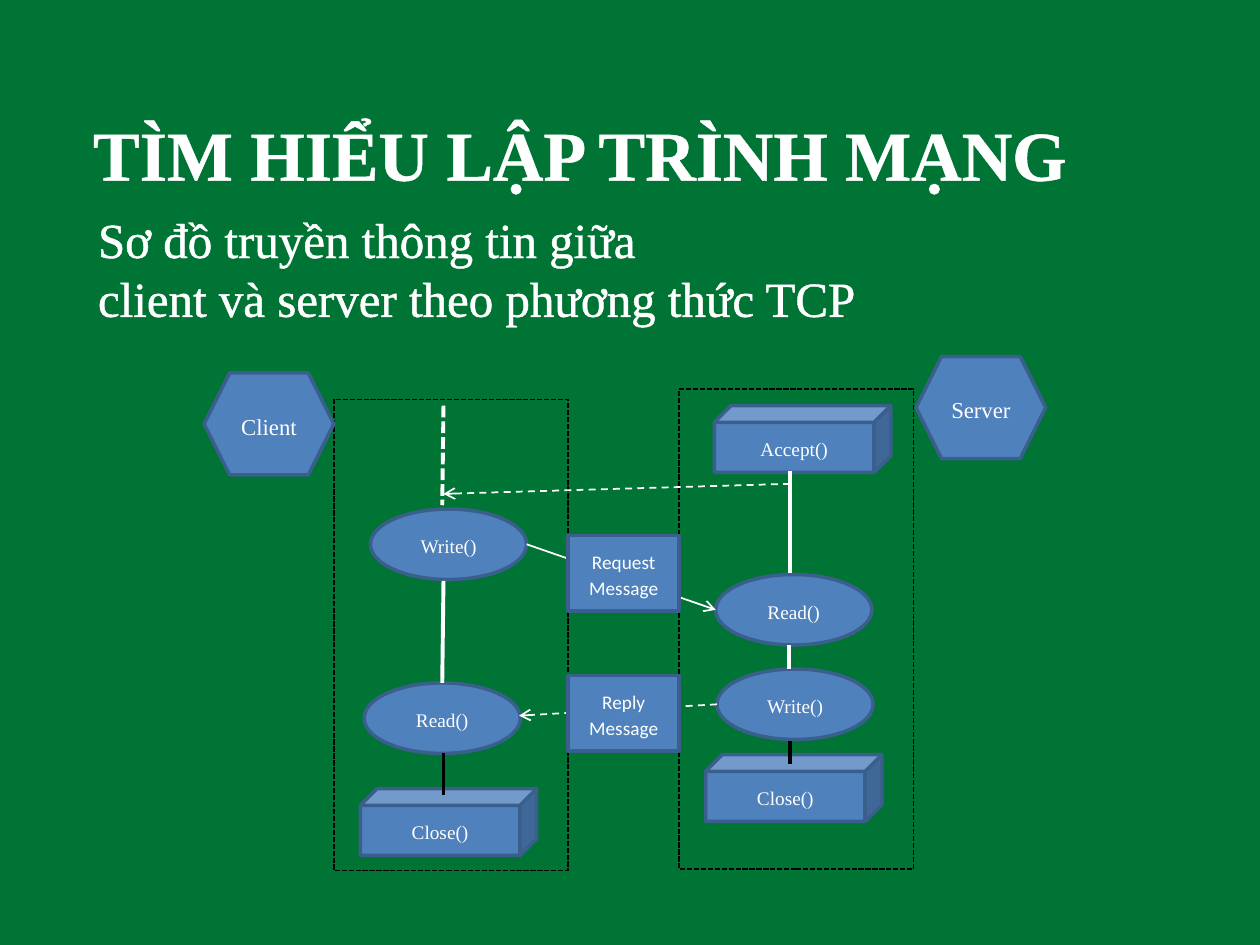
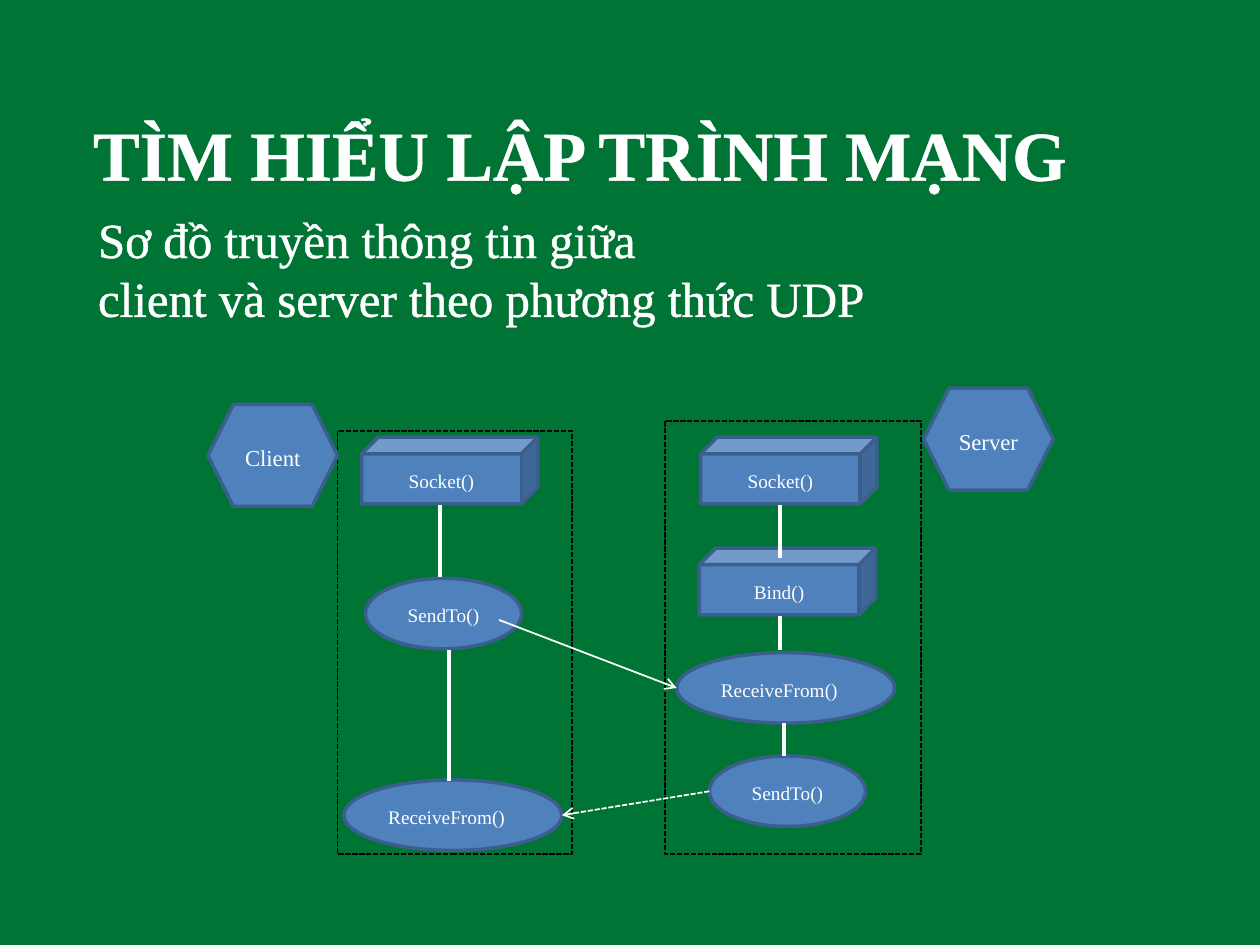
from pptx import Presentation
from pptx.dml.color import RGBColor
from pptx.enum.dml import MSO_LINE
from pptx.enum.shapes import MSO_CONNECTOR, MSO_SHAPE
from pptx.enum.text import MSO_ANCHOR, MSO_AUTO_SIZE, PP_ALIGN
from pptx.oxml import parse_xml
from pptx.oxml.ns import nsdecls
from pptx.util import Inches, Pt

GREEN = RGBColor(0x00, 0x74, 0x34)
BLUE = RGBColor(0x4F, 0x81, 0xBD)
NAVY = RGBColor(0x3A, 0x5F, 0x8C)
WHITE = RGBColor(0xFF, 0xFF, 0xFF)
BLACK = RGBColor(0x00, 0x00, 0x00)

SLIDE_W, SLIDE_H = Inches(10), Inches(7.5)
COLS, ROWS = 100, 75
SERIF, SANS = "Times New Roman", "Calibri"

TITLE_FONT = {"name": SERIF, "size": Pt(40), "bold": True}
SUBTITLE_FONT = {"name": SERIF, "size": Pt(28)}
NODE_FONT = {"name": SERIF, "size": Pt(11)}
SIDE_FONT = {"name": SERIF, "size": Pt(13)}
MESSAGE_FONT = {"name": SANS, "size": Pt(11)}
NODE_PARAGRAPH = {"alignment": PP_ALIGN.CENTER, "line_spacing": 1.15, "space_after": Pt(10)}

KINDS = {
    "setup": (MSO_SHAPE.CUBE, 14, 5.3, NODE_FONT, PP_ALIGN.CENTER),
    "call": (MSO_SHAPE.OVAL, 12.4, 5.6, NODE_FONT, PP_ALIGN.CENTER),
    "wide call": (MSO_SHAPE.OVAL, 17.3, 5.6, NODE_FONT, PP_ALIGN.LEFT),
    "side": (MSO_SHAPE.HEXAGON, 10.3, 8.1, SIDE_FONT, PP_ALIGN.CENTER),
    "message": (MSO_SHAPE.RECTANGLE, 8.8, 6, MESSAGE_FONT, PP_ALIGN.CENTER),
}

LINKS = {
    "flow": (WHITE, 2.25, None, False),
    "earlier": (WHITE, 2.25, MSO_LINE.SQUARE_DOT, False),
    "end": (BLACK, 2.25, None, False),
    "request": (WHITE, 1, None, True),
    "reply": (WHITE, 1, MSO_LINE.DASH, True),
    "short reply": (WHITE, 1, MSO_LINE.SQUARE_DOT, True),
}

TCP = {
    "name": "TCP",
    "client": (26.5, 31.7, 18.6, 37.4),
    "server": (53.9, 30.9, 18.6, 38.1),
    "nodes": [
        ("setup", "Accept()", 56.7, 32.2),
        ("call", "Write()", 29.4, 40.4),
        ("call", "Read()", 28.9, 54.2),
        ("setup", "Close()", 28.6, 62.6),
        ("call", "Read()", 56.8, 45.6),
        ("call", "Write()", 56.9, 53.1),
        ("setup", "Close()", 56, 59.9),
    ],
    "links": [
        ("earlier", 35.2, 32.2, 35.1, 40.1),
        ("flow", 35.2, 46.1, 35.1, 54.2),
        ("flow", 62.7, 37.4, 62.7, 45.5),
        ("flow", 62.6, 51.2, 62.6, 53.1),
        ("request", 41.8, 43.2, 56.8, 48.4),
        ("reply", 62.7, 38.4, 35.2, 39.2),
        ("reply", 56.9, 55.9, 41.2, 56.8),
        ("end", 35.2, 59.8, 35.2, 63.1),
        ("end", 62.7, 58.8, 62.7, 60.6),
    ],
    "messages": [
        ("message", "Request Message", 45.1, 42.5),
        ("message", "Reply Message", 45.1, 53.6),
    ],
}

UDP = {
    "name": "UDP",
    "client": (26.8, 34.2, 18.6, 33.6),
    "server": (52.8, 33.4, 20.3, 34.4),
    "nodes": [
        ("setup", "Socket()", 28.7, 34.7),
        ("call", "SendTo()", 29, 45.9),
        ("wide call", "ReceiveFrom()", 27.3, 61.9),
        ("setup", "Socket()", 55.6, 34.7),
        ("setup", "Bind()", 55.5, 43.5),
        ("wide call", "ReceiveFrom()", 53.7, 51.8),
        ("call", "SendTo()", 56.3, 60),
    ],
    "links": [
        ("flow", 34.9, 40.1, 34.9, 45.8),
        ("flow", 35.6, 51.6, 35.6, 62),
        ("flow", 61.9, 40.1, 61.9, 44.3),
        ("flow", 61.9, 48.9, 61.9, 51.6),
        ("flow", 62.2, 57.4, 62.2, 60),
        ("request", 39.6, 49.2, 53.7, 54.6),
        ("short reply", 56.3, 62.8, 44.6, 64.7),
    ],
    "messages": [],
}


def grid(*lengths):
    units = (SLIDE_W / COLS, SLIDE_H / ROWS)
    return [round(length * units[i % 2]) for i, length in enumerate(lengths)]


def assign(target, values):
    for name, value in values.items():
        setattr(target, name, value)


def add_run(p, text, font):
    r = p.add_run()
    r.text = text
    assign(r.font, font)
    r.font.color.rgb = WHITE
    return r


def add_heading(s, box, lines, font):
    tf = s.shapes.add_textbox(*grid(*box)).text_frame
    assign(tf, {"word_wrap": False, "auto_size": MSO_AUTO_SIZE.SHAPE_TO_FIT_TEXT})
    for i, line in enumerate(lines):
        p = tf.add_paragraph() if i else tf.paragraphs[0]
        r = add_run(p, line, font)
        outline = parse_xml(
            f'<a:ln {nsdecls("a")} w="18415"><a:solidFill>'
            f'<a:srgbClr val="{WHITE}"/></a:solidFill></a:ln>')
        r.font._element.insert(0, outline)


def add_box(s, preset, box, fill, line, width):
    sp = s.shapes.add_shape(preset, *grid(*box))
    sp.shadow.inherit = False
    sp.fill.solid()
    sp.fill.fore_color.rgb = fill
    sp.line.color.rgb = line
    sp.line.width = Pt(width)
    return sp


def add_frame(s, box):
    sp = add_box(s, MSO_SHAPE.RECTANGLE, box, GREEN, BLACK, 1)
    sp.line.dash_style = MSO_LINE.SQUARE_DOT


def add_node(s, kind, text, x, y):
    preset, w, h, font, alignment = KINDS[kind]
    sp = add_box(s, preset, (x, y, w, h), BLUE, NAVY, 2)
    tf = sp.text_frame
    assign(tf, {"word_wrap": True, "vertical_anchor": MSO_ANCHOR.MIDDLE})
    p = tf.paragraphs[0]
    assign(p, {**NODE_PARAGRAPH, "alignment": alignment})
    add_run(p, text, font)


def add_link(s, kind, *ends):
    color, width, dash, arrow = LINKS[kind]
    link = s.shapes.add_connector(MSO_CONNECTOR.STRAIGHT, *grid(*ends))
    link.line.color.rgb = color
    assign(link.line, {"width": Pt(width), "dash_style": dash})
    if arrow:
        link.line._get_or_add_ln().append(
            parse_xml(f'<a:tailEnd {nsdecls("a")} type="arrow"/>'))
    link._element.spPr.append(parse_xml(f'<a:effectLst {nsdecls("a")}/>'))


def add_sides(s, client, server):
    add_frame(s, client)
    add_frame(s, server)
    side_w = KINDS["side"][1]
    add_node(s, "side", "Client", client[0] - side_w, client[1] - 2.1)
    add_node(s, "side", "Server", server[0] + server[2] + 0.2, server[1] - 2.6)


def add_diagram_slide(prs, diagram):
    s = prs.slides.add_slide(prs.slide_layouts[6])
    s.background.fill.solid()
    s.background.fill.fore_color.rgb = GREEN
    add_heading(s, (6.4, 8.3, 80.1, 7.7), ["TÌM HIỂU LẬP TRÌNH MẠNG"], TITLE_FONT)
    add_heading(s, (6.8, 16.1, 63, 10.4),
                ["Sơ đồ truyền thông tin giữa",
                 f"client và server theo phương thức {diagram['name']}"], SUBTITLE_FONT)
    add_sides(s, diagram["client"], diagram["server"])
    for node in diagram["nodes"]:
        add_node(s, *node)
    for link in diagram["links"]:
        add_link(s, *link)
    for message in diagram["messages"]:
        add_node(s, *message)


def main():
    prs = Presentation()
    assign(prs, {"slide_width": SLIDE_W, "slide_height": SLIDE_H})
    for diagram in (TCP, UDP):
        add_diagram_slide(prs, diagram)
    prs.save("out.pptx")


main()
